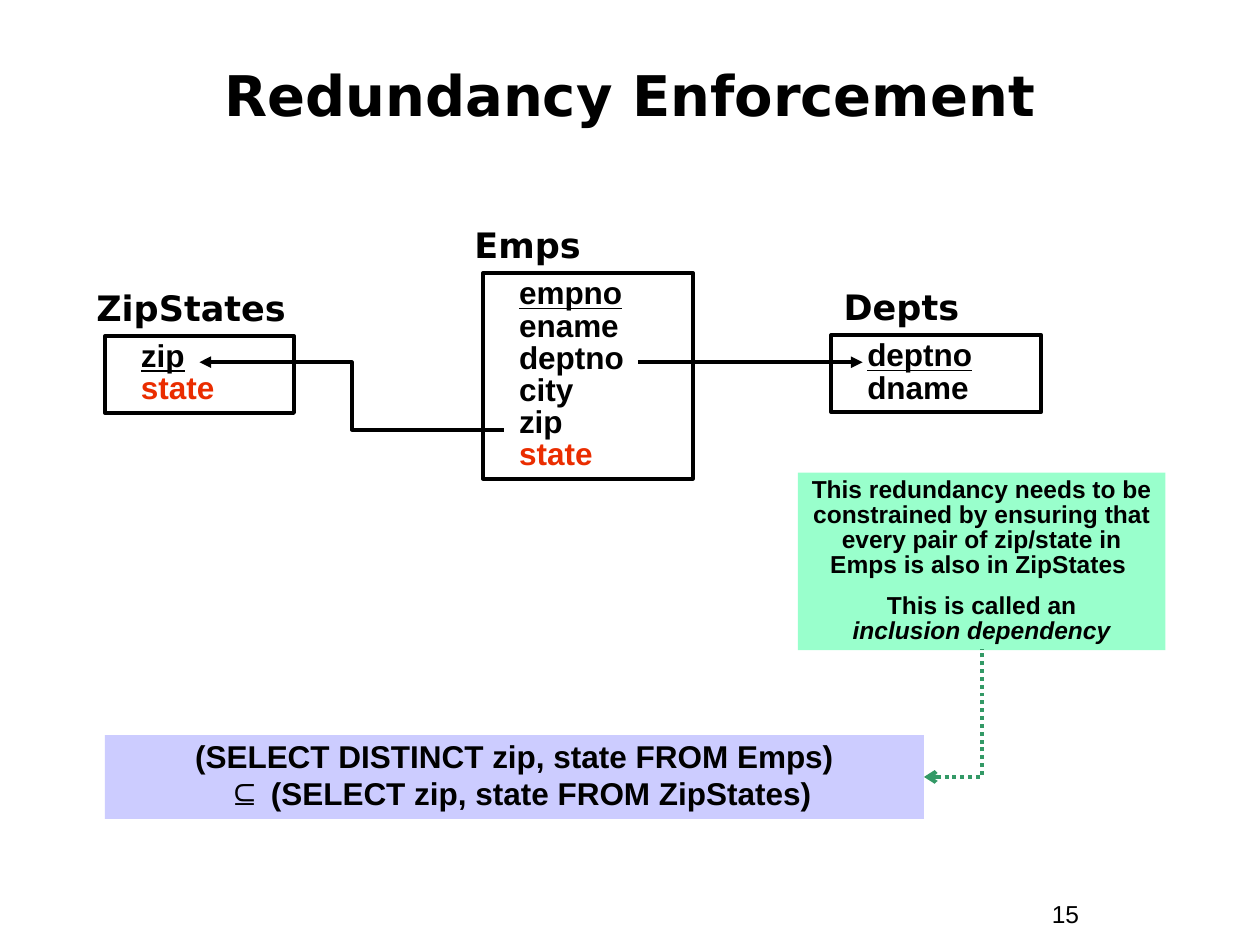
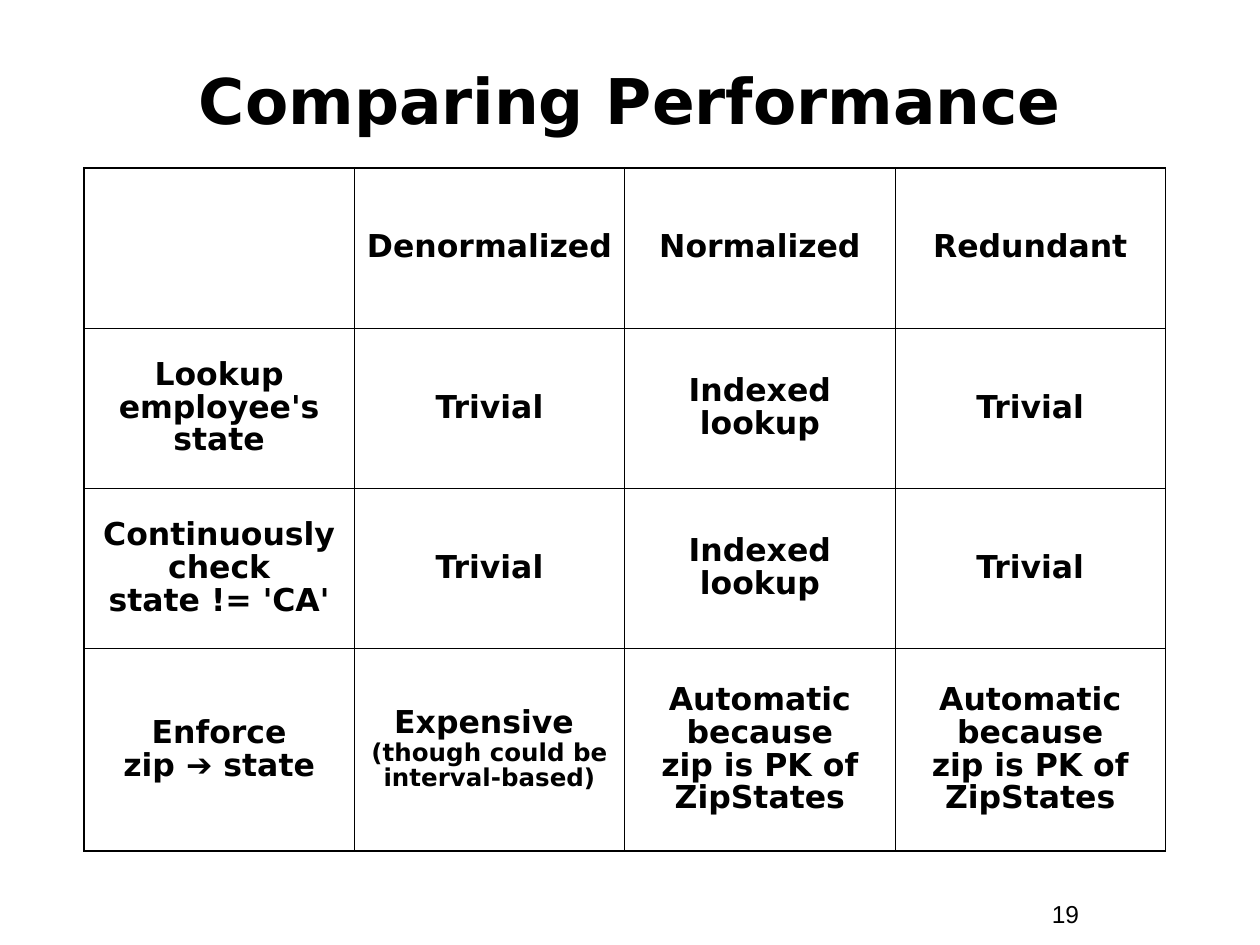
from dataclasses import dataclass
from lxml.etree import SubElement
from pptx import Presentation
from pptx.dml.color import RGBColor
from pptx.enum.dml import MSO_LINE
from pptx.enum.shapes import MSO_CONNECTOR, MSO_SHAPE
from pptx.enum.text import MSO_ANCHOR, PP_ALIGN
from pptx.oxml.ns import qn
from pptx.util import Pt


@dataclass(frozen=True)
class Theme:
    black: str = "000000"
    red: str = "EA2D00"
    green: str = "339966"
    mint: str = "99FFCC"
    lilac: str = "CCCCFF"
    head: str = "DejaVu Sans"
    body: str = "Arial"
    label: int = 20
    text: int = 18
    small: int = 14
    line: float = 2.25
    edge: float = 1.08
    rule: float = 0.45


T = Theme()

FIRST = dict(title="Redundancy Enforcement", size=32, space=0.85, number=15)
SECOND = dict(title="Comparing Performance", size=36, space=None, number=19)

TABLES = [
    ("Emps", (264, 114), (276, 156, 120, 117.5),
     ["empno", "ename", "deptno", "city", "zip", "state"]),
    ("Depts", (475, 155), (475, 191.5, 120, 44), ["deptno", "dname"]),
    ("ZipStates", (48, 155), (60, 192, 108, 44), ["zip", "state"]),
]
COPIED = "state"
RISE = 32

NOTE = [
    ["This redundancy needs to be constrained by ensuring that every pair "
     "of zip/state in Emps is also in ZipStates "],
    ["This is called an\n", ("inclusion dependency", dict(italic=True))],
]
QUERY = [["(SELECT DISTINCT zip, state FROM Emps)\n",
          (" ⊆", dict(size=T.label)), " (SELECT zip, state FROM ZipStates)"]]

KEYED = ["Automatic\nbecause\nzip is PK of ZipStates"]
LOOKUP = ["Indexed\nlookup"]
EASY = ["Trivial"]
GRID = [
    [[], ["Denormalized"], ["Normalized"], ["Redundant"]],
    [["Lookup employee's state"], EASY, LOOKUP, EASY],
    [["Continuously check\nstate != 'CA'"], EASY, LOOKUP, EASY],
    [["Enforce\nzip ", ("➔", dict(name=T.body)), " state"],
     ["Expensive \n", ("(though could be interval-based)", dict(size=T.small))],
     KEYED, KEYED],
]
PLACE = (48, 96)
WIDTH = 154.5
HEIGHTS = [91.5, 91.5, 91.5, 116]


def points(box):
    return [Pt(v) for v in box]


def style(font, color=None, name=None, size=None, **flags):
    if color:
        font.color.rgb = RGBColor.from_string(color)
    if name:
        font.name = name
    if size:
        font.size = Pt(size)
    for flag, value in flags.items():
        setattr(font, flag, value)


def write(frame, paras, name=T.body, size=T.text, bold=True, align=PP_ALIGN.LEFT,
          space=None, gap=0, indent=0, anchor=MSO_ANCHOR.TOP):
    frame.word_wrap = True
    frame.vertical_anchor = anchor
    for i, runs in enumerate(paras):
        para = frame.paragraphs[0] if i == 0 else frame.add_paragraph()
        para.alignment = align
        if space:
            para.line_spacing = space
        if i and gap:
            para.space_before = Pt(gap)
        if indent:
            para._p.get_or_add_pPr().set("marL", str(Pt(indent)))
        style(para.font, T.black, name, size, bold=bold)
        for item in runs:
            words, look = (item, {}) if isinstance(item, str) else item
            for j, part in enumerate(words.split("\n")):
                if j:
                    para.add_line_break()
                if part:
                    run = para.add_run()
                    run.text = part
                    style(run.font, **look)


def label(slide, box, words, **look):
    write(slide.shapes.add_textbox(*points(box)).text_frame, [[words]], **look)


def panel(slide, box, paras, fill=None, **look):
    shape = slide.shapes.add_shape(MSO_SHAPE.RECTANGLE, *points(box))
    shape.shadow.inherit = False
    if fill:
        shape.fill.solid()
        shape.fill.fore_color.rgb = RGBColor.from_string(fill)
        shape.line.fill.background()
    else:
        shape.fill.background()
        shape.line.color.rgb = RGBColor.from_string(T.black)
        shape.line.width = Pt(T.line)
    write(shape.text_frame, paras, **look)


def arrow(slide, kind, ends, color=T.black, end="tailEnd", tip="triangle", dash=None):
    link = slide.shapes.add_connector(kind, *points(ends))
    link.line.color.rgb = RGBColor.from_string(color)
    link.line.width = Pt(T.line)
    if dash:
        link.line.dash_style = dash
    SubElement(link.line._get_or_add_ln(), qn("a:" + end), type=tip)
    SubElement(link._element.spPr, qn("a:effectLst"))
    return link


def page(deck, title, size, space, number):
    slide = deck.slides.add_slide(deck.slide_layouts[6])
    label(slide, (594, 510, 66, 24.5), str(number), size=T.small, bold=False)
    label(slide, (24, 24, 672, 66), title, name=T.head, size=size, space=space,
          align=PP_ALIGN.CENTER, anchor=MSO_ANCHOR.MIDDLE)
    return slide


def border(cell, sides):
    props = cell._tc.get_or_add_tcPr()
    for i, (side, outer) in enumerate(sides):
        line = props.makeelement(qn("a:" + side), w=str(Pt(T.edge if outer else T.rule)))
        fill = SubElement(line, qn("a:solidFill"))
        SubElement(fill, qn("a:srgbClr"), val=T.black)
        props.insert(i, line)


def schema(deck):
    slide = page(deck, **FIRST)
    for name, (left, width), box, fields in TABLES:
        label(slide, (left, box[1] - RISE, width, RISE), name, name=T.head, size=T.label)
        rows = [[(field, dict(underline=True if i == 0 else None,
                              color=T.red if field == COPIED else None))]
                for i, field in enumerate(fields)]
        panel(slide, box, rows, space=0.85, indent=13.5)
    arrow(slide, MSO_CONNECTOR.STRAIGHT, (364.5, 207, 493, 207))
    arrow(slide, MSO_CONNECTOR.ELBOW, (288, 245.5, 114, 207))
    panel(slide, (60, 420, 468, 48), QUERY, T.lilac, space=0.9, align=PP_ALIGN.CENTER)
    panel(slide, (456, 270, 210, 101.5), NOTE, T.mint, size=T.small, space=0.85,
          gap=8.8, align=PP_ALIGN.CENTER)
    bend = arrow(slide, MSO_CONNECTOR.ELBOW, (528, 444, 561, 371), T.green,
                 "headEnd", "arrow", MSO_LINE.ROUND_DOT)
    bend._element.spPr.find(qn("a:prstGeom")).set("prst", "bentConnector2")


def compare(deck):
    slide = page(deck, **SECOND)
    rows, cols = len(GRID), len(GRID[0])
    size = (WIDTH * cols, sum(HEIGHTS))
    table = slide.shapes.add_table(rows, cols, *points(PLACE + size)).table
    table.first_row = table.horz_banding = False
    for col in table.columns:
        col.width = Pt(WIDTH)
    for r, row in enumerate(GRID):
        table.rows[r].height = Pt(HEIGHTS[r])
        for c, runs in enumerate(row):
            cell = table.cell(r, c)
            cell.fill.background()
            cell.vertical_anchor = MSO_ANCHOR.MIDDLE
            cell.margin_left = cell.margin_right = Pt(7.2)
            write(cell.text_frame, [runs], name=T.head, space=0.9,
                  align=PP_ALIGN.CENTER, anchor=None)
            border(cell, [("lnL", c == 0), ("lnR", c == cols - 1),
                          ("lnT", r == 0), ("lnB", r == rows - 1)])


def main():
    deck = Presentation()
    deck.slide_width, deck.slide_height = Pt(720), Pt(540)
    schema(deck)
    compare(deck)
    deck.save("out.pptx")


if __name__ == "__main__":
    main()
